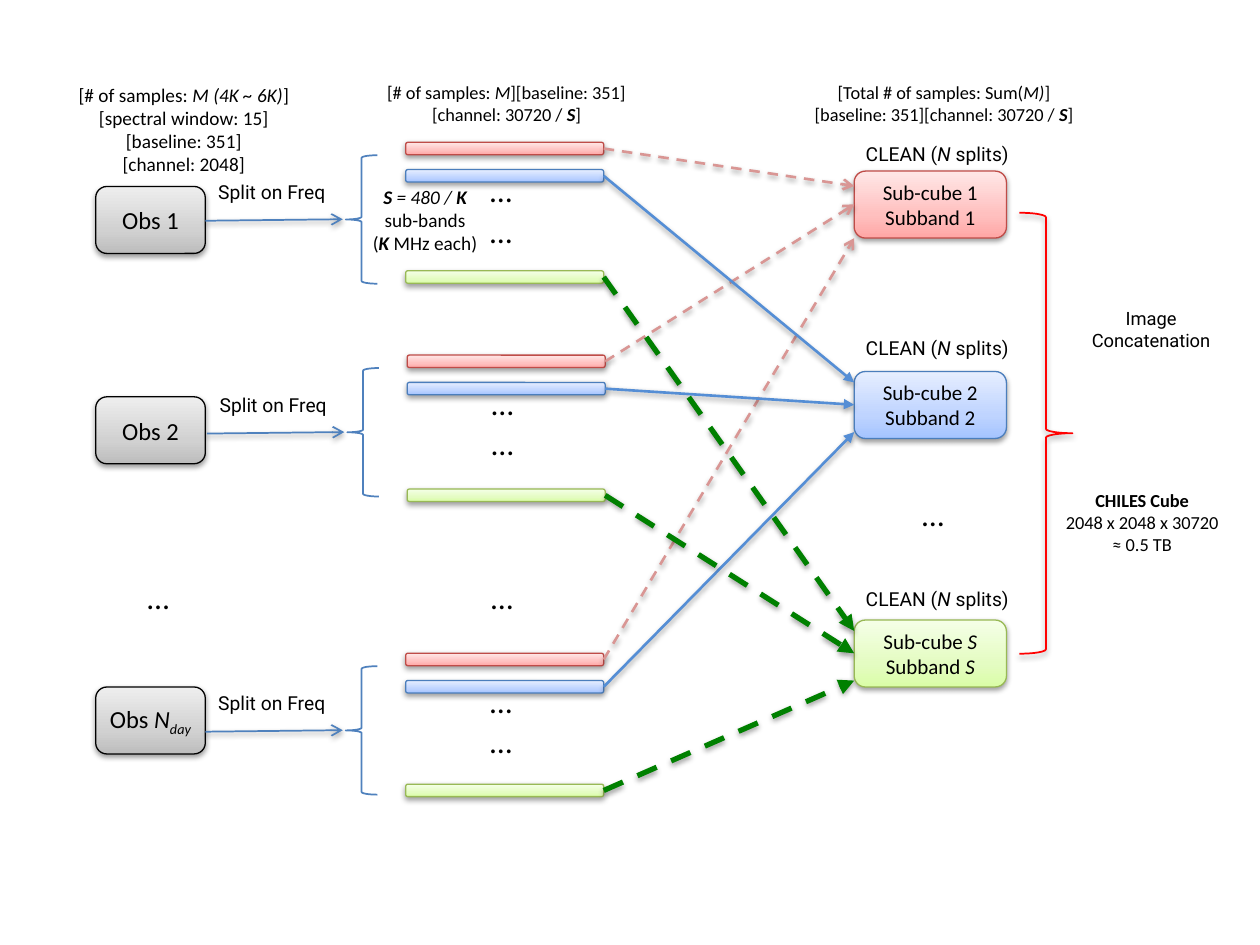
from copy import deepcopy

from lxml.etree import SubElement
from pptx import Presentation
from pptx.dml.color import RGBColor
from pptx.enum.dml import MSO_LINE
from pptx.enum.shapes import MSO_CONNECTOR, MSO_SHAPE
from pptx.enum.text import MSO_ANCHOR, PP_ALIGN
from pptx.oxml.ns import qn
from pptx.util import Cm, Pt

COLOURS = {"black": "000000", "brace": "4F81BD", "result": "FF0000"}
GRADIENTS = {
    "grey": ("BDBDBD", "D1D1D1", "EEEEEE", "000000"),
    "red": ("FFA6A5", "FFC0BF", "FFE7E7", "BF4C48"),
    "blue": ("A4C4FF", "BFD4FF", "E6EEFF", "4B7EBC"),
    "green": ("DAFDA7", "E4FCC2", "F5FFE7", "98B955"),
}
LINKS = {
    "red": ("D99694", 1.5, True, "arrow", (0.3, 0.67, 1.35)),
    "blue": ("558ED5", 1.5, False, "triangle", (0.22, 0.67, 1.22)),
    "green": ("008000", 3, True, "triangle", (0.22, 0.67, 1.22)),
}
BAR_WIDTH, BAR_HEIGHT = 3.99, 0.25

OBSERVATIONS = [
    ((1.93, 2.87, 10.24, 2.84), 0.89, 0, [("Obs 1", "")]),
    ((1.93, 7.16, 10.24, 2.95), 0.84, 0.03, [("Obs 2", "")]),
    ((1.93, 13.17, 10.24, 2.89), 0.68, 0, [("Obs ", ""), ("N", "i"), ("day", "is")]),
]
SUB_CUBES = [
    ("red", (17.22, 3.45, 3.07, 1.35), 0.71, ("1", "")),
    ("blue", (17.22, 7.49, 3.07, 1.35), 0.84, ("2", "")),
    ("green", (17.22, 12.5, 3.07, 1.35), 0.79, ("S", "i")),
]
LABELS = [
    ((0.91, 1.55, 5.59, 2.13), 11, "Calibri", [
        [("[# of samples: ", ""), ("M (4K ~ 6K)", "i"), ("]", "")],
        [("[spectral window: 15]", "")],
        [("[baseline: 351]", "")],
        [("[channel: 2048]", "")]]),
    ((6.22, 1.52, 7.98, 1.14), 10.5, "Calibri", [
        [("[# of samples: ", ""), ("M", "i"), ("][baseline: 351]", "")],
        [("[channel: 30720 / ", ""), ("S", "bi"), ("]", "")]]),
    ((15.04, 1.52, 7.98, 1.14), 10.5, "Calibri", [
        [("[Total # of samples: Sum(", ""), ("M)", "i"), ("]", "")],
        [("[baseline: 351][channel: 30720 / ", ""), ("S", "bi"), ("]", "")]]),
    ((7.16, 3.61, 2.82, 1.68), 11, "Calibri", [
        [("S", "bi"), (" = 480 / ", "i"), ("K", "bi")],
        [("sub-bands", "")],
        [("(", ""), ("K ", "bi"), ("MHz each)", "")]]),
]


def colour(value):
    """Turn a hex string into a colour."""
    return RGBColor.from_string(value)


def cast_shadow(shape, visible=True):
    """Give a shape or connector the soft drop shadow, or none at all."""
    effects = SubElement(shape._element.spPr, qn("a:effectLst"))
    if visible:
        shadow = SubElement(effects, qn("a:outerShdw"), blurRad="40000", dist="20000",
                            dir="5400000", rotWithShape="0")
        black = SubElement(shadow, qn("a:srgbClr"), val=COLOURS["black"])
        SubElement(black, qn("a:alpha"), val="38000")


def write_lines(frame, lines, size, font, align=PP_ALIGN.CENTER):
    """Write lines of (text, style) runs; b is bold, i italic, s subscript."""
    frame.word_wrap = True
    for index, line in enumerate(lines):
        paragraph = frame.paragraphs[0] if index == 0 else frame.add_paragraph()
        paragraph.alignment = align
        for text, style in line:
            run = paragraph.add_run()
            run.text = text
            run.font.size = Pt(size)
            run.font.name = font
            run.font.color.rgb = colour(COLOURS["black"])
            run.font.bold = "b" in style
            run.font.italic = "i" in style
            if "s" in style:
                run.font._element.set("baseline", "-25000")


def add_label(slide, box, size, font, lines, align=PP_ALIGN.CENTER):
    """Place a text box."""
    label = slide.shapes.add_textbox(*map(Cm, box))
    write_lines(label.text_frame, lines, size, font, align)


def add_dots(slide, left, top):
    """Place an ellipsis that stands for omitted items."""
    add_label(slide, (left, top, 0.81, 1.02), 18, "Calibri", [[("…", "")]], PP_ALIGN.LEFT)


def add_block(slide, box, palette):
    """Place a rounded block with a three-stop gradient."""
    *stop_colours, line_colour = GRADIENTS[palette]
    block = slide.shapes.add_shape(MSO_SHAPE.ROUNDED_RECTANGLE, *map(Cm, box))
    block.fill.gradient()
    block.fill.gradient_angle = 90
    stop_list = block._element.spPr.find(qn("a:gradFill")).find(qn("a:gsLst"))
    stop_list.append(deepcopy(stop_list[0]))
    for stop, position, value in zip(block.fill.gradient_stops, (0, 0.35, 1), stop_colours):
        stop.position = position
        stop.color.rgb = colour(value)
    block.line.color.rgb = colour(line_colour)
    block.line.width = Pt(0.75)
    cast_shadow(block)
    block.text_frame.vertical_anchor = MSO_ANCHOR.MIDDLE
    return block


def add_brace(slide, kind, box, value, shadowed):
    """Place a curly brace."""
    brace = slide.shapes.add_shape(kind, *map(Cm, box))
    brace.fill.background()
    brace.line.color.rgb = colour(value)
    brace.line.width = Pt(1)
    cast_shadow(brace, shadowed)


def add_arrow(slide, start, end, value, width, dashed, head):
    """Draw a straight arrow."""
    arrow = slide.shapes.add_connector(MSO_CONNECTOR.STRAIGHT, *map(Cm, (*start, *end)))
    arrow.line.color.rgb = colour(value)
    arrow.line.width = Pt(width)
    if dashed:
        arrow.line.dash_style = MSO_LINE.DASH
    SubElement(arrow.line._ln, qn("a:tailEnd"), type=head)
    cast_shadow(arrow)


def add_observation(slide, box, block_offset, shift, name):
    """Place an observation split into bands; return where each band ends."""
    left, top, width, height = box
    block = add_block(slide, (left, top + block_offset, 2.21, 1.35), "grey")
    block.text_frame.margin_left = block.text_frame.margin_right = Cm(0.1)
    write_lines(block.text_frame, [name], 14, "Calibri")
    inner = left + shift
    add_arrow(slide, (inner + 2.21, top + 1.58), (inner + 4.98, top + 1.55),
              COLOURS["brace"], 1, False, "arrow")
    add_label(slide, (inner + 2.05, top + 0.64, 3, 0.74), 11, "Roboto", [[("Split on Freq", "")]])
    add_brace(slide, MSO_SHAPE.LEFT_BRACE, (inner + 5.04, top + 0.26, 0.64, 2.59),
              COLOURS["brace"], False)
    bar_left = inner + width - BAR_WIDTH
    ends = {}
    for palette, offset in (("red", 0), ("blue", 0.55), ("green", height - BAR_HEIGHT)):
        add_block(slide, (bar_left, top + offset, BAR_WIDTH, BAR_HEIGHT), palette)
        ends[palette] = (bar_left + BAR_WIDTH, top + offset + BAR_HEIGHT / 2)
    for offset in (0.46, 1.27):
        add_dots(slide, inner + 7.7, top + offset)
    return ends


def add_sub_cube(slide, palette, box, lift, number):
    """Place a sub-cube with its CLEAN label above it."""
    left, top, width, height = box
    block = add_block(slide, box, palette)
    write_lines(block.text_frame, [[("Sub-cube ", ""), number], [("Subband ", ""), number]],
                12, "Calibri")
    add_label(slide, (left - 0.94, top - lift, 5.23, 0.74), 11, "Roboto",
              [[("CLEAN (", ""), ("N", "i"), (" splits)", "")]])


def add_result(slide, box):
    """Place the brace that joins the sub-cubes and the text on the final cube."""
    left, top, width, height = box
    add_brace(slide, MSO_SHAPE.RIGHT_BRACE, (left, top, 1.07, height), COLOURS["result"], True)
    add_label(slide, (left + 0.99, top + 1.78, 3.33, 1.14), 10.5, "Roboto",
              [[("Image Concatenation", "")]])
    add_label(slide, (left + 0.53, top + 5.44, 3.89, 1.6), 10.5, "Calibri",
              [[("CHILES Cube", "b")], [("2048 x 2048 x 30720", "")], [("≈ 0.5 TB", "")]])


def main():
    """Build the slide and save it."""
    presentation = Presentation()
    presentation.slide_width, presentation.slide_height = Cm(25.4), Cm(19.05)
    slide = presentation.slides.add_slide(presentation.slide_layouts[6])
    band_ends = [add_observation(slide, *observation) for observation in OBSERVATIONS]
    for sub_cube in SUB_CUBES:
        add_sub_cube(slide, *sub_cube)
    for palette, (left, top, width, height), lift, number in SUB_CUBES:
        *line_style, targets = LINKS[palette]
        for ends, target in zip(band_ends, targets):
            add_arrow(slide, ends[palette], (left, top + target), *line_style)
    for label in LABELS:
        add_label(slide, *label)
    for left, top in ((2.72, 11.53), (9.65, 11.53), (18.34, 9.86)):
        add_dots(slide, left, top)
    add_result(slide, (20.55, 4.29, 4.42, 8.89))
    presentation.save("out.pptx")


if __name__ == "__main__":
    main()
